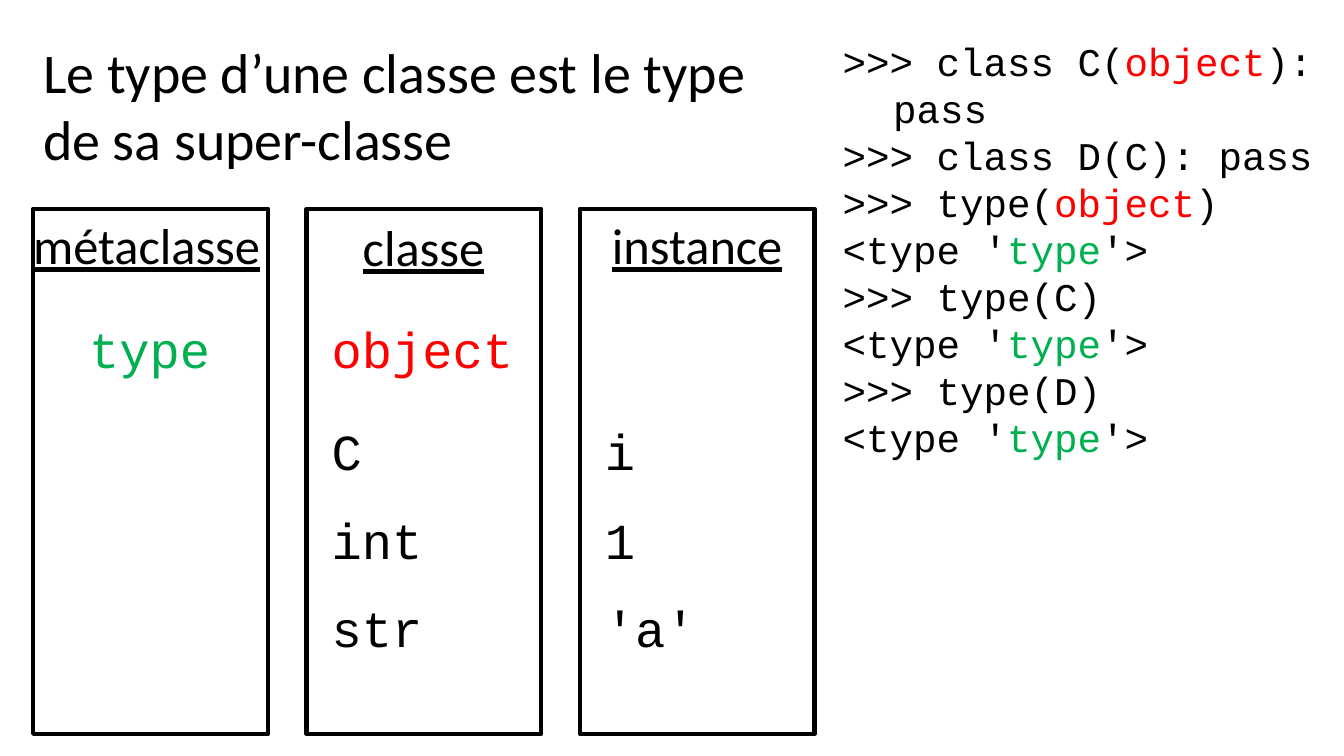
from pptx import Presentation
from pptx import util as u
from pptx.dml.color import RGBColor
from pptx.enum import shapes, text

BLACK, RED, GREEN = "000000", "FF0000", "00B050"
SANS, MONO = "Calibri", "Courier New"
LEFT, CENTER = text.PP_ALIGN.LEFT, text.PP_ALIGN.CENTER

COLUMN_TOP, COLUMN_WIDTH, COLUMN_HEIGHT = 2.07, 2.33, 5.21
COLUMN_LEFT, COLUMN_STEP = 0.33, 2.71
ROW_OFFSETS = [1.04, 2.05, 2.93, 3.8]

COLUMNS = [
    ("métaclasse", LEFT, (-0.1, 0, 2.52), CENTER, [("type", GREEN)]),
    ("classe", CENTER, (-0.1, 0.02, 2.52), LEFT,
     [("object", RED), ("C", BLACK), ("int", BLACK), ("str", BLACK)]),
    ("instance", CENTER, (0, 0, 2.33), LEFT,
     [None, ("i", BLACK), ("1", BLACK), ("'a'", BLACK)]),
]

TYPE_RESULT = [("<type '", BLACK), ("type", GREEN), ("'>", BLACK)]
SESSION = [
    [(">>> class C(", BLACK), ("object", RED), ("):", BLACK)],
    [("\tpass", BLACK)],
    [(">>> class D(C): pass", BLACK)],
    [(">>> type(", BLACK), ("object", RED), (")", BLACK)],
    TYPE_RESULT,
    [(">>> type(C)", BLACK)],
    TYPE_RESULT,
    [(">>> type(D)", BLACK)],
    TYPE_RESULT,
]


def color(value):
    return RGBColor.from_string(value)


def add_text(page, box, lines, size, font, align=LEFT, underline=False):
    frame = page.shapes.add_textbox(*map(u.Inches, box)).text_frame
    frame.word_wrap = True
    for index, line in enumerate(lines):
        para = frame.paragraphs[0] if index == 0 else frame.add_paragraph()
        para.alignment = align
        for words, tint in line:
            span = para.add_run()
            span.text = words
            span.font.size = u.Pt(size)
            span.font.name = font
            span.font.color.rgb = color(tint)
            if underline:
                span.font.underline = True


def add_frame(page, box):
    frame = page.shapes.add_shape(
        shapes.MSO_SHAPE.RECTANGLE, *map(u.Inches, box))
    frame.shadow.inherit = False
    frame.fill.background()
    frame.line.color.rgb = color(BLACK)
    frame.line.width = u.Pt(3)


def add_column(page, box, heading, heading_align, heading_place, align, entries):
    left, top, width, height = box
    add_frame(page, box)
    shift, drop, heading_width = heading_place
    add_text(page, (left + shift, top + drop, heading_width, 0.71),
             [[(heading, BLACK)]], 36, SANS, heading_align, True)
    for offset, entry in zip(ROW_OFFSETS, entries):
        if entry:
            add_text(page, (left + 0.15, top + offset, 2.01, 0.71),
                     [[entry]], 36, MONO, align)


def add_title(page, box):
    title = "Le type d’une classe est le type de sa super-classe"
    add_text(page, box, [[(title, BLACK)]], 40, SANS)


def add_session(page, box):
    add_text(page, box, SESSION, 28, MONO)


def main():
    deck = Presentation()
    deck.slide_width, deck.slide_height = u.Inches(13.33), u.Inches(7.5)
    page = deck.slides.add_slide(deck.slide_layouts[6])
    add_title(page, (0.33, 0.32, 7.75, 1.45))
    for index, column in enumerate(COLUMNS):
        left = COLUMN_LEFT + index * COLUMN_STEP
        add_column(page, (left, COLUMN_TOP, COLUMN_WIDTH, COLUMN_HEIGHT), *column)
    add_session(page, (8.26, 0.32, 5.25, 4.34))
    deck.save("out.pptx")


if __name__ == "__main__":
    main()
